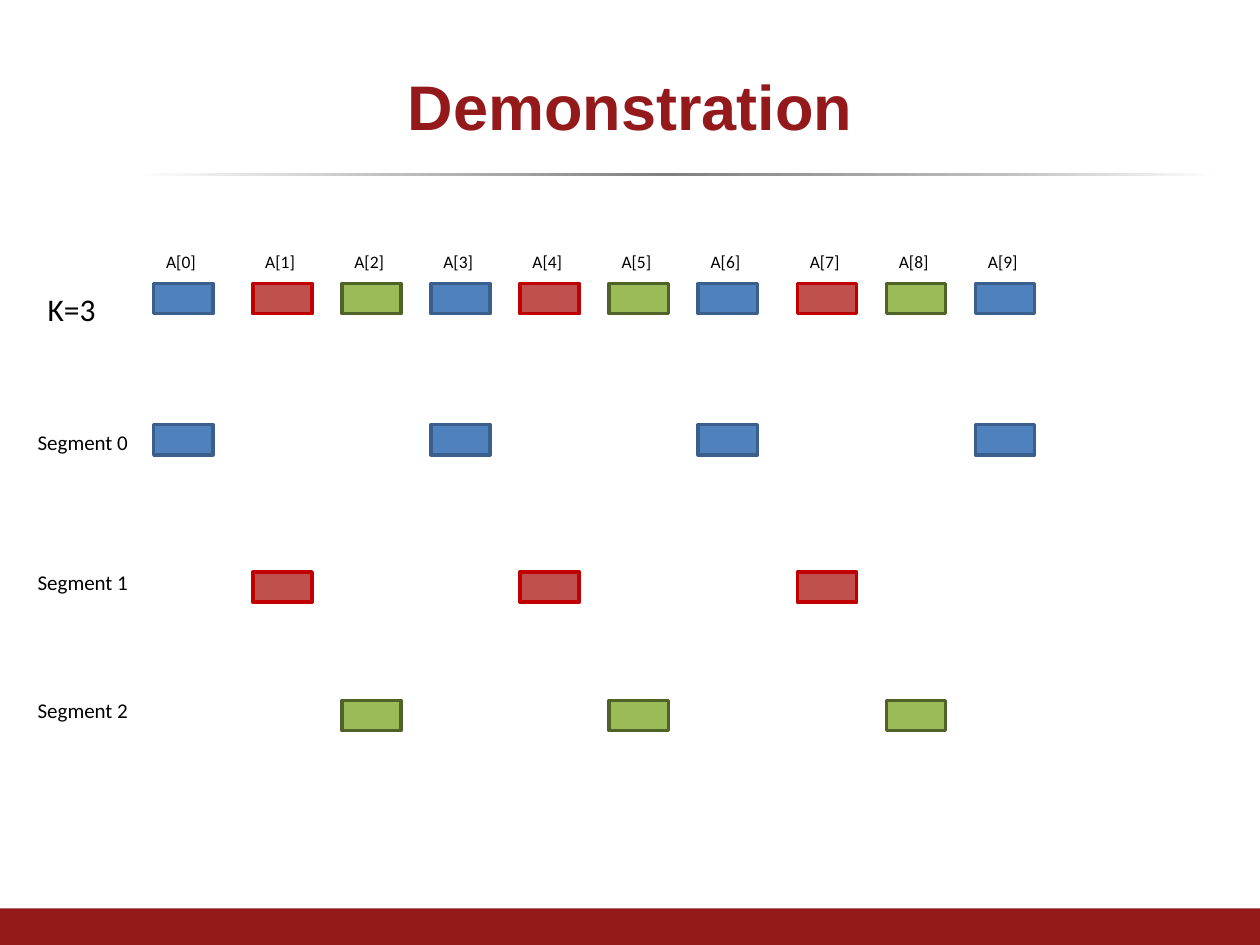
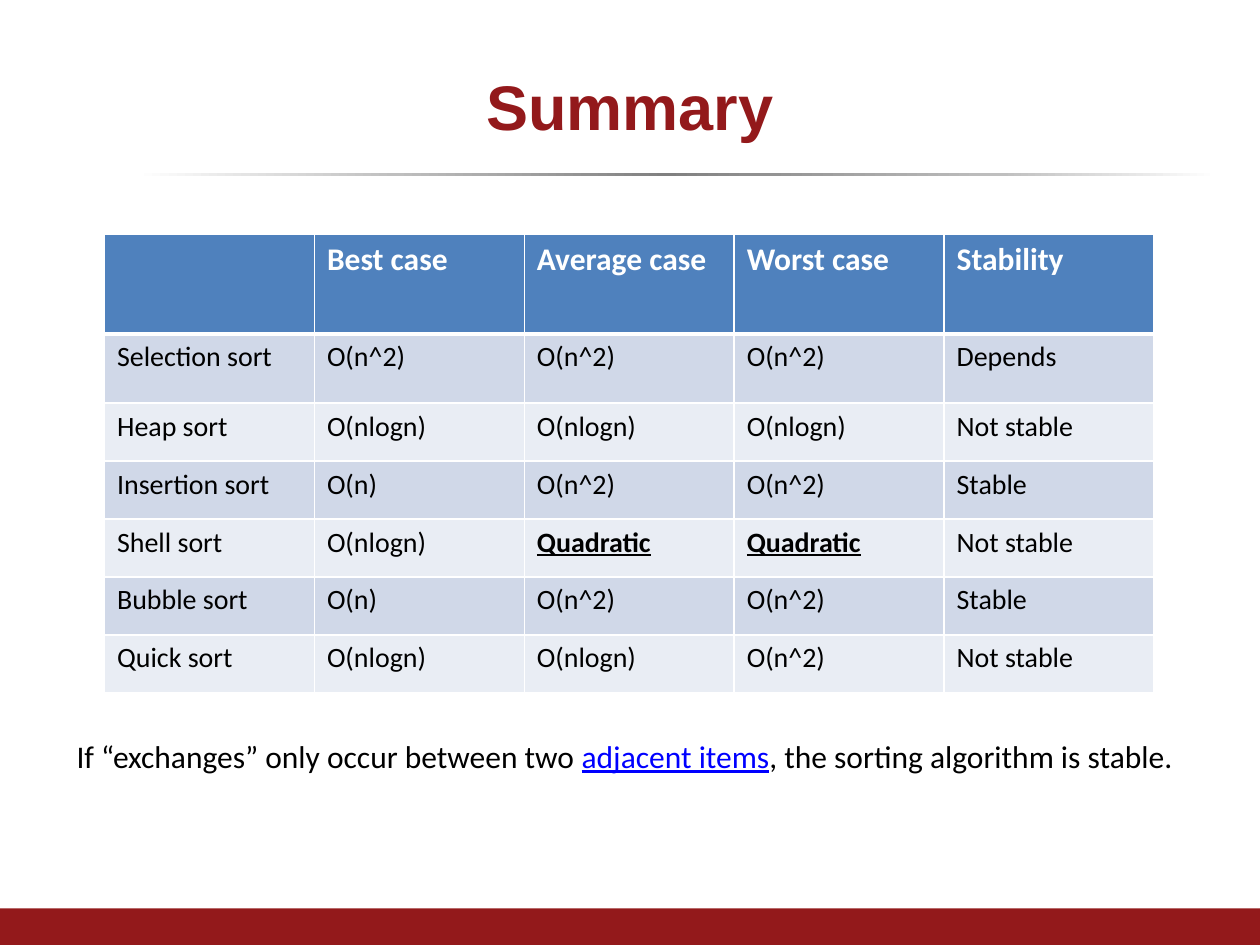
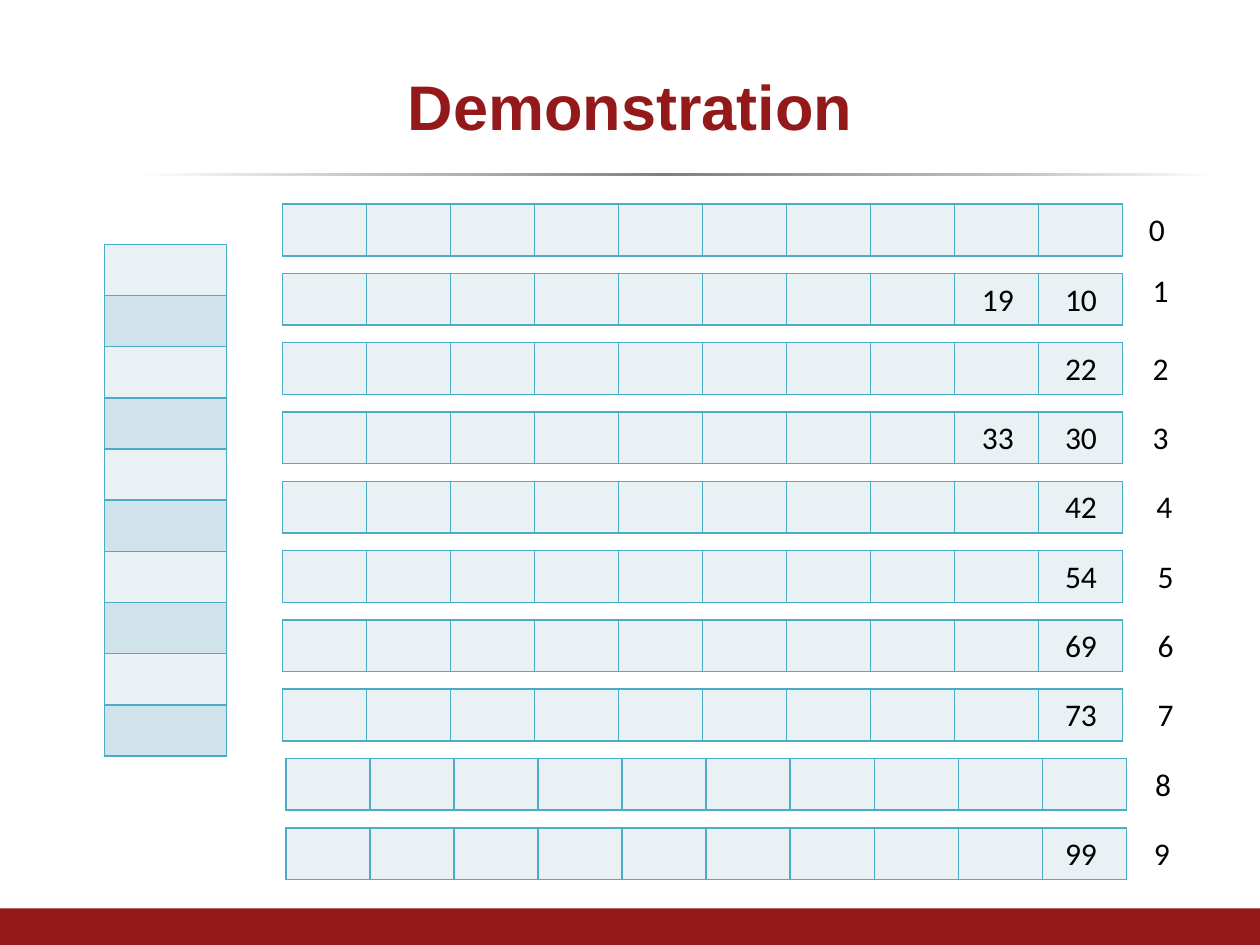
from dataclasses import dataclass
from typing import NamedTuple

from lxml.etree import SubElement
from pptx import Presentation
from pptx.dml.color import RGBColor
from pptx.enum.shapes import MSO_SHAPE
from pptx.enum.text import MSO_ANCHOR, MSO_AUTO_SIZE, PP_ALIGN
from pptx.oxml.ns import qn
from pptx.util import Inches, Pt

# The slide is a grid of 100 columns by 75 rows.
UNIT = 0.1
WIDE, HIGH = 100, 75
BRAND, BLACK, WHITE = "93191B", "000000", "FFFFFF"
BODY = "Calibri"
HEAD, DARK, PALE = "4F81BD", "D0D8E8", "E9EDF4"
TEAL, ICE, MIST = "4BACC6", "E9F1F5", "D0E3EA"
GLOW = [(0, WHITE), (24, "BFBFBF"), (49, "808080"), (80, "BFBFBF"), (100, WHITE)]


class Box(NamedTuple):
    """A place on the grid."""
    col: float
    row: float
    cols: float
    rows: float


@dataclass
class Group:
    """One segment of the array: its fill, edge and rows."""
    fill: str
    edge: str
    top: float
    label: float


@dataclass
class Bucket:
    """A row of slots: numbers from the right, and where its digit stands."""
    nums: tuple
    col: float
    lift: float = 0


def size(units: float) -> int:
    """Turn grid units into a length."""
    return Inches(units * UNIT)


def place(box: Box) -> tuple:
    """Turn a grid box into four lengths."""
    return tuple(size(part) for part in box)


def tint(text: str) -> RGBColor:
    """Turn a hex string into a colour."""
    return RGBColor.from_string(text)


def style(para, points: float, color: str = BLACK, bold: bool = False,
          face: str = BODY) -> None:
    """Set the font of a whole paragraph."""
    font = para.font
    font.name, font.size, font.bold = face, Pt(points), bold
    font.color.rgb = tint(color)


def rect(slide, box: Box, fill: str, edge: str = ""):
    """Draw a flat rectangle, with an edge if one is named."""
    shape = slide.shapes.add_shape(MSO_SHAPE.RECTANGLE, *place(box))
    shape.shadow.inherit = False
    shape.fill.solid()
    shape.fill.fore_color.rgb = tint(fill)
    if edge:
        shape.line.color.rgb = tint(edge)
        shape.line.width = Pt(2)
    else:
        shape.line.fill.background()
    return shape


def write(slide, box: Box, text: str, points: float = 18, align=PP_ALIGN.LEFT):
    """Add a text box and return its paragraph."""
    frame = slide.shapes.add_textbox(*place(box)).text_frame
    frame.word_wrap = True
    frame.auto_size = MSO_AUTO_SIZE.SHAPE_TO_FIT_TEXT
    para = frame.paragraphs[0]
    para.text, para.alignment = text, align
    style(para, points)
    return para


def fade(shape) -> None:
    """Give a shape the grey glow that fades to both ends."""
    shape.fill.gradient()
    shape.fill.gradient_angle = 0
    stops = shape.element.find(".//" + qn("a:gsLst"))
    for stop in list(stops):
        stops.remove(stop)
    for share, color in GLOW:
        stop = SubElement(stops, qn("a:gs"), pos=str(share * 1000))
        SubElement(stop, qn("a:srgbClr"), val=color)


def frame(layout, slide) -> None:
    """Move the rule and the bottom band into the shared layout."""
    rule = rect(slide, Box(10.8, 13.7, 85.8, 0.3), WHITE)
    fade(rule)
    band = rect(slide, Box(0, 72.1, WIDE, 2.9), BRAND)
    for num, shape in enumerate((rule, band), 20):
        shape.element.nvSpPr.cNvPr.id = num
        layout.shapes.element.append(shape.element)


def start(deck, layout, title: str):
    """Add a slide with its title."""
    slide = deck.slides.add_slide(layout)
    text = slide.shapes.title.text_frame
    text.text, text.vertical_anchor = title, MSO_ANCHOR.MIDDLE
    para = text.paragraphs[0]
    para.alignment = PP_ALIGN.CENTER
    style(para, 36, BRAND, True, "Arial")
    return slide


def paint(cell, fill: str, edge: str, top: float = 1, base: float = 1) -> None:
    """Fill a cell and draw its four borders."""
    props = cell._tc.get_or_add_tcPr()
    for side, points in zip("LRTB", (1, 1, top, base)):
        line = SubElement(props, qn("a:ln" + side), w=str(Pt(points)))
        solid = SubElement(line, qn("a:solidFill"))
        SubElement(solid, qn("a:srgbClr"), val=edge)
    cell.fill.solid()
    cell.fill.fore_color.rgb = tint(fill)


def grid(slide, box: Box, cols: int, heights: list):
    """Add a plain table with equal columns and the given row heights."""
    table = slide.shapes.add_table(len(heights), cols, *place(box)).table
    table.first_row = table.horz_banding = False
    for col in table.columns:
        col.width = size(box.cols / cols)
    for row, high in zip(table.rows, heights):
        row.height = size(high)
    return table


def slots(slide, box: Box, cols: int, rows: int) -> None:
    """Draw empty slots whose rows alternate in colour."""
    table = grid(slide, box, cols, [box.rows / rows] * rows)
    for num, row in enumerate(table.rows):
        for cell in row.cells:
            paint(cell, MIST if num % 2 else ICE, TEAL)


GROUPS = [
    Group("4F81BD", "3A5F8C", 33.7, 33.6),
    Group("C0504D", "C00000", 45.4, 44.7),
    Group("9BBB59", "4F6228", 55.6, 54.9),
]


def split(slide) -> None:
    """Show the array and its three segments."""
    for num in range(10):
        col = 12.2 + 7.07 * num + 0.8 * ((num > 0) + (num > 6))
        group = GROUPS[num % len(GROUPS)]
        write(slide, Box(col, 19.4, 4.7, 2.7), f"A[{num}]", 10)
        for top in (22.5, group.top):
            rect(slide, Box(col, top, 4.7, 2.4), group.fill, group.edge)
    write(slide, Box(2.8, 22.5, 11.8, 4), "K=3")
    for num, group in enumerate(GROUPS):
        write(slide, Box(2, group.label, 11.8, 3), f"Segment {num}", 12)


SORTS = [
    ("", "Best case", "Average case", "Worst case", "Stability"),
    ("Selection sort", "O(n^2)", "O(n^2)", "O(n^2)", "Depends"),
    ("Heap sort", "O(nlogn)", "O(nlogn)", "O(nlogn)", "Not stable"),
    ("Insertion sort", "O(n)", "O(n^2)", "O(n^2)", "Stable"),
    ("Shell sort", "O(nlogn)", "Quadratic", "Quadratic", "Not stable"),
    ("Bubble sort", "O(n)", "O(n^2)", "O(n^2)", "Stable"),
    ("Quick sort", "O(nlogn)", "O(nlogn)", "O(n^2)", "Not stable"),
]


def compare(slide) -> None:
    """Show the table of sorts and the rule on stability."""
    table = grid(slide, Box(8.3, 18.6, 83.3, 36.3), 5, [7.9, 5.5] + [4.6] * 5)
    for num, texts in enumerate(SORTS):
        head = num == 0
        fill = HEAD if head else (DARK if num % 2 else PALE)
        for cell, text in zip(table.rows[num].cells, texts):
            paint(cell, fill, WHITE, 3 if num == 1 else 1, 3 if head else 1)
            cell.text = text
            para = cell.text_frame.paragraphs[0]
            key = text == "Quadratic"
            style(para, 18 if head else 16, WHITE if head else BLACK, head or key)
            if key:
                para.font.underline = True
    para = write(slide, Box(5.1, 58, 90.6, 4),
                 "If “exchanges” only occur between two ")
    term = para.add_run()
    term.text = "adjacent items"
    term.font.underline = True
    term.font.color.rgb = tint("0000FF")
    para.add_run().text = ", the sorting algorithm is stable."


BUCKETS = [
    Bucket((), 90.2), Bucket((10, 19), 90.5, 0.7), Bucket((22,), 90.5),
    Bucket((30, 33), 90.5), Bucket((42,), 90.8), Bucket((54,), 90.9),
    Bucket((69,), 90.9), Bucket((73,), 90.9), Bucket((), 90.7),
    Bucket((99,), 90.6),
]


def sort(slide) -> None:
    """Show the emptied list and the ten buckets."""
    slots(slide, Box(8.3, 19.4, 9.7, 40.6), 1, 10)
    for num, bucket in enumerate(BUCKETS):
        top = 16.2 + 5.5 * num
        left = 22.7 if num > 7 else 22.4
        slots(slide, Box(left, top, 66.7, 4.1), 10, 1)
        write(slide, Box(bucket.col, top - bucket.lift, 6.3, 4), str(num))
        for back, value in enumerate(bucket.nums):
            write(slide, Box(82.3 - 6.6 * back, top, 7, 4), str(value),
                  align=PP_ALIGN.CENTER)


def main() -> None:
    """Build the three slides and save them."""
    deck = Presentation()
    deck.slide_width, deck.slide_height = size(WIDE), size(HIGH)
    layout = deck.slide_layouts[5]
    title = layout.placeholders[0]
    title.left, title.top, title.width, title.height = place(Box(5, 3, 90, 10.7))
    pages = [("Demonstration", split), ("Summary", compare), ("Demonstration", sort)]
    for num, (name, draw) in enumerate(pages):
        slide = start(deck, layout, name)
        if num == 0:
            frame(layout, slide)
        draw(slide)
    deck.save("out.pptx")


main()
